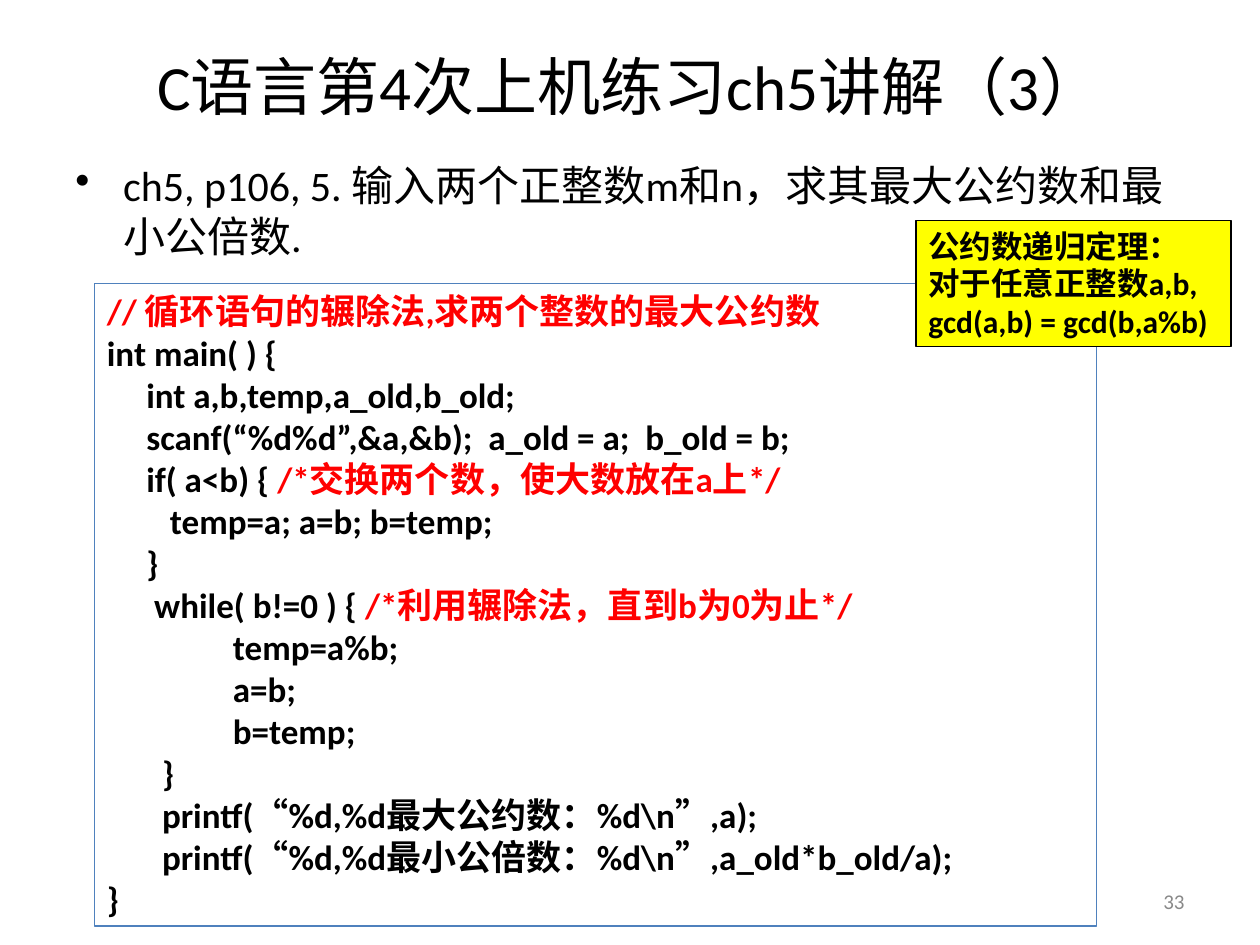
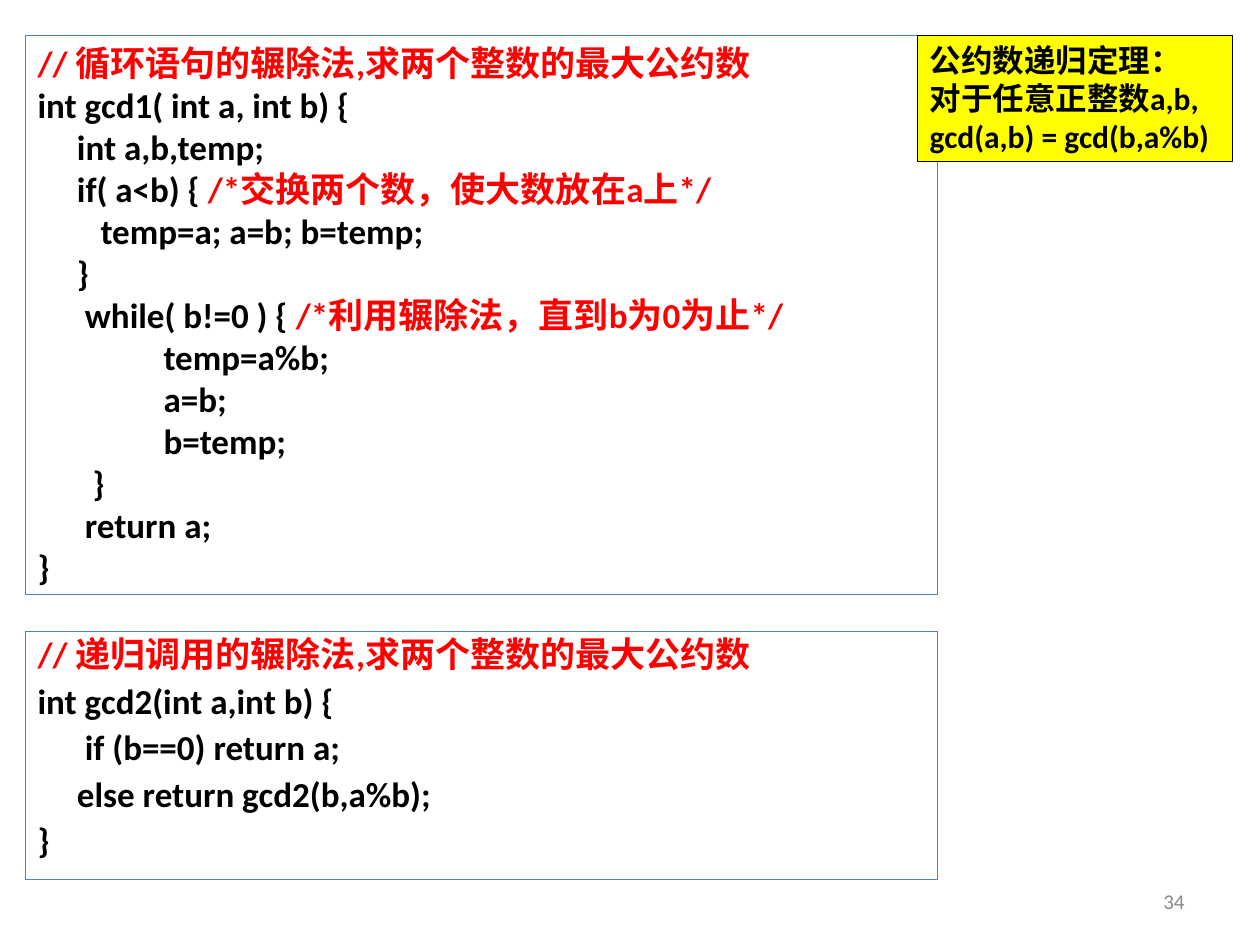
"""Build two slides that explain the greatest common divisor exercise in C."""
from lxml.etree import SubElement
from pptx import Presentation
from pptx.dml.color import RGBColor
from pptx.enum.shapes import MSO_SHAPE
from pptx.enum.text import MSO_ANCHOR, MSO_AUTO_SIZE, PP_ALIGN
from pptx.oxml.ns import qn
from pptx.util import Inches, Pt

COLORS = {"text": "000000", "comment": "FF0000", "border": "4F81BD",
          "paper": "FFFFFF", "note": "FFFF00", "number": "898989"}
FONT = "Calibri"
CODE_COLUMN = 1 / 16
TITLE_ONLY, BLANK = 5, 6

TITLE = "C语言第4次上机练习ch5讲解（3）"
TASK = "ch5, p106, 5. 输入两个正整数m和n，求其最大公约数和最小公倍数."
THEOREM = [(0, "公约数递归定理："), (0, "对于任意正整数a,b,"), (0, "gcd(a,b) = gcd(b,a%b)")]

LOOP_HEADING = (0, "// 循环语句的辗除法,求两个整数的最大公约数")
EUCLID_LOOP = [
    (5, "if( a<b) { /*交换两个数，使大数放在a上*/"),
    (8, "temp=a; a=b; b=temp;"),
    (5, "}"),
    (6, "while( b!=0 ) { /*利用辗除法，直到b为0为止*/"),
    (16, "temp=a%b;"),
    (16, "a=b;"),
    (16, "b=temp;"),
    (7, "}"),
]
MAIN_CODE = [
    LOOP_HEADING,
    (0, "int main( ) {"),
    (5, "int a,b,temp,a_old,b_old;"),
    (5, "scanf(“%d%d”,&a,&b);  a_old = a;  b_old = b;"),
    *EUCLID_LOOP,
    (7, "printf(“%d,%d最大公约数：%d\\n”,a);"),
    (7, "printf(“%d,%d最小公倍数：%d\\n”,a_old*b_old/a);"),
    (0, "}"),
]
LOOP_CODE = [
    LOOP_HEADING,
    (0, "int gcd1( int a, int b) {"),
    (5, "int a,b,temp;"),
    *EUCLID_LOOP,
    (6, "return a;"),
    (0, "}"),
]
RECURSIVE_CODE = [
    (0, "// 递归调用的辗除法,求两个整数的最大公约数"),
    (0, "int gcd2(int a,int b) {"),
    (6, "if (b==0) return a;"),
    (5, "else return gcd2(b,a%b);"),
    (0, "}"),
]


def color(name):
    return RGBColor.from_string(COLORS[name])


def place(shape, area):
    shape.left, shape.top, shape.width, shape.height = map(Inches, area)


def style(para, size, tint="text", bold=False, align=PP_ALIGN.LEFT):
    para.alignment = align
    para.font.name, para.font.size, para.font.bold = FONT, Pt(size), bold
    para.font.color.rgb = color(tint)


def split_comment(line):
    """Return the code and the comment of one line."""
    starts = [line.find(mark) for mark in ("//", "/*") if mark in line]
    cut = min(starts, default=len(line))
    return line[:cut], line[cut:]


def add_panel(page, area, lines, size=20, fill=None, border="border", spaced=False):
    box = page.shapes.add_shape(MSO_SHAPE.RECTANGLE, *map(Inches, area))
    box.shadow.inherit = False
    if fill:
        box.fill.solid()
        box.fill.fore_color.rgb = color(fill)
    else:
        box.fill.background()
    box.line.color.rgb = color(border)
    box.line.width = Pt(0.75)
    frame = box.text_frame
    frame.word_wrap = True
    frame.vertical_anchor = MSO_ANCHOR.TOP
    frame.auto_size = MSO_AUTO_SIZE.NONE if spaced else MSO_AUTO_SIZE.SHAPE_TO_FIT_TEXT
    for index, (columns, line) in enumerate(lines):
        para = frame.add_paragraph() if index else frame.paragraphs[0]
        style(para, size, bold=True)
        para._p.get_or_add_pPr().set("marL", str(Inches(columns * CODE_COLUMN)))
        if spaced:
            para.line_spacing, para.space_before = 0.9, Pt(5)
        for part, tint in zip(split_comment(line), ("text", "comment")):
            if part:
                span = para.add_run()
                span.text = part
                span.font.color.rgb = color(tint)


def add_theorem(page, left, top):
    add_panel(page, (left, top, 2.5, 1), THEOREM, 18, "note", "text")


def add_text(page, area, text, size, tint="text", align=PP_ALIGN.LEFT):
    frame = page.shapes.add_textbox(*map(Inches, area)).text_frame
    frame.word_wrap = True
    para = frame.paragraphs[0]
    para.text = text
    style(para, size, tint, align=align)
    return frame


def add_number(page, number):
    frame = add_text(page, (7.17, 6.95, 2.33, 0.4), str(number), 12, "number", PP_ALIGN.RIGHT)
    frame.vertical_anchor = MSO_ANCHOR.MIDDLE


def add_task(page):
    para = add_text(page, (0.5, 1.22, 9, 0.95), TASK, 24).paragraphs[0]
    para.space_before = Pt(6)
    properties = para._p.get_or_add_pPr()
    properties.set("marL", str(Inches(0.38)))
    properties.set("indent", str(Inches(-0.38)))
    bullet = SubElement(properties, qn("a:buChar"))
    bullet.set("char", "•")
    properties.find(qn("a:defRPr")).addprevious(bullet)


def build_main_page(deck):
    page = deck.slides.add_slide(deck.slide_layouts[TITLE_ONLY])
    title = page.shapes.title
    place(title, (0.5, 0.05, 9, 1.25))
    title.text_frame.text = TITLE
    title.text_frame.vertical_anchor = MSO_ANCHOR.MIDDLE
    style(title.text_frame.paragraphs[0], 36, align=PP_ALIGN.CENTER)
    add_task(page)
    add_panel(page, (0.75, 2.25, 7.95, 5.1), MAIN_CODE)
    add_theorem(page, 7.27, 1.75)
    add_number(page, 33)


def build_functions_page(deck):
    page = deck.slides.add_slide(deck.slide_layouts[BLANK])
    add_panel(page, (0.2, 5.01, 7.24, 1.97), RECURSIVE_CODE, fill="paper", spaced=True)
    add_panel(page, (0.2, 0.28, 7.24, 4.44), LOOP_CODE, fill="paper")
    add_theorem(page, 7.28, 0.28)
    add_number(page, 34)


def main():
    deck = Presentation()
    deck.slide_width, deck.slide_height = Inches(10), Inches(7.5)
    build_main_page(deck)
    build_functions_page(deck)
    deck.save("out.pptx")


if __name__ == "__main__":
    main()
